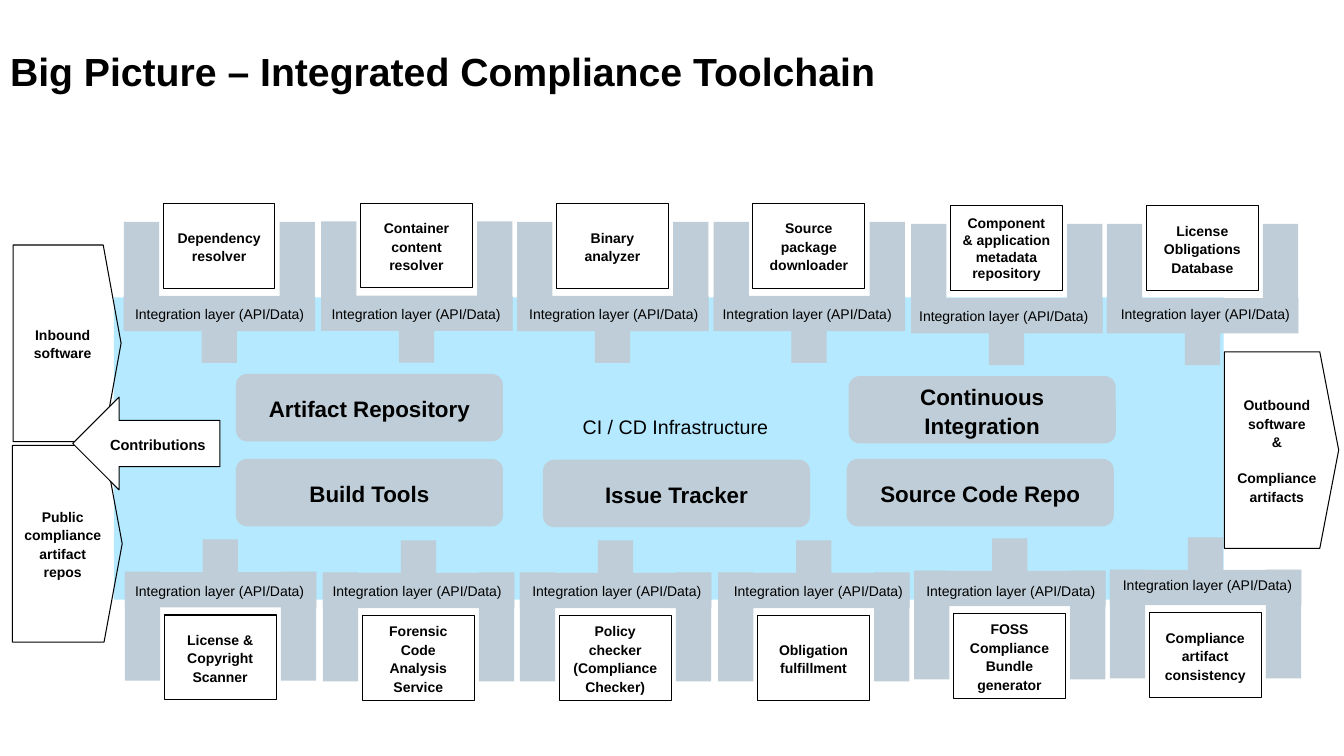
from lxml import etree
from pptx import Presentation
from pptx.dml.color import RGBColor
from pptx.enum.shapes import MSO_SHAPE as SHAPE
from pptx.enum.text import MSO_ANCHOR as ANCHOR, MSO_AUTO_SIZE as AUTO, PP_ALIGN as ALIGN
from pptx.oxml.ns import qn
from pptx.util import Pt

BLACK = RGBColor(0x00, 0x00, 0x00)
WHITE = RGBColor(0xFF, 0xFF, 0xFF)
SKY = RGBColor(0xB4, 0xE9, 0xFF)
STEEL = RGBColor(0xBE, 0xCD, 0xD7)

# Tools: text, left, top of the bracket, left and top of the layer label
TOP_TOOLS = [
    ("Dependency resolver", 88.4, 158.5, 96.5, 217.4),
    ("Container content resolver", 229.4, 158.2, 236.9, 217.4),
    ("Binary analyzer", 369.4, 158.5, 378, 217.4),
    ("Source package downloader", 509.7, 158.5, 516.2, 217.4),
    ("Component & application metadata repository", 650.8, 160, 656.6, 218.2),
    ("License Obligations Database", 790.7, 160, 800.6, 217.4),
]
BOTTOM_TOOLS = [
    ("License & Copyright Scanner", 89.2, 408.3, 96.5, 414.7),
    ("Forensic Code Analysis Service", 230.7, 408.9, 237.6, 414.7),
    ("Policy checker (Compliance Checker)", 371.4, 408.9, 380.2, 414.7),
    ("Obligation fulfillment", 513, 408.9, 524.2, 414.7),
    ("FOSS Compliance Bundle generator", 653, 407.5, 661.7, 414.7),
    ("Compliance artifact consistency", 792.8, 406.8, 802.1, 410.4),
]
# Offsets from the bracket top: bar, stub, tool box
TOP_OFFSETS = (52.9, 75.6, -13)
BOTTOM_OFFSETS = (0.3, -23, 31)

SERVICES = [
    ("Artifact Repository", 168.5, 267.1),
    ("Build Tools", 168.5, 327.8),
    ("Issue Tracker", 387.8, 328.4),
    ("Continuous Integration", 606.2, 268.6),
    ("Source Code Repo", 604.8, 327.8),
]


class Board:
    font = "Arial"
    line_width = 0.75
    line_spacing = 1.1

    def __init__(self, s):
        self.s = s

    def place(self, sp, x, y, w, h):
        sp.left, sp.top, sp.width, sp.height = Pt(x), Pt(y), Pt(w), Pt(h)

    def run(self, p, text, size, bold=False):
        r = p.add_run()
        r.text = text
        r.font.name = self.font
        r.font.size = Pt(size)
        r.font.bold = bold
        r.font.color.rgb = BLACK

    def shape(self, kind, x, y, w, h, fill=None, outline=False, parent=None):
        shapes = (parent or self.s).shapes
        sp = shapes.add_shape(kind, Pt(x), Pt(y), Pt(w), Pt(h))
        sp.shadow.inherit = False
        if fill is None:
            sp.fill.background()
        else:
            sp.fill.solid()
            sp.fill.fore_color.rgb = fill
        if outline:
            sp.line.color.rgb = BLACK
            sp.line.width = Pt(self.line_width)
        else:
            sp.line.fill.background()
        return sp

    def caption(self, sp, *lines, size=10, spacing=line_spacing):
        tf = sp.text_frame
        tf.word_wrap = True
        tf.vertical_anchor = ANCHOR.MIDDLE
        tf.margin_left = tf.margin_right = Pt(8.6)
        tf.margin_top = tf.margin_bottom = Pt(4.3)
        for i, text in enumerate(lines):
            p = tf.add_paragraph() if i else tf.paragraphs[0]
            p.alignment = ALIGN.CENTER
            p.line_spacing = spacing
            self.run(p, text, size, bold=True)

    def label(self, text, x, y):
        tf = self.s.shapes.add_textbox(Pt(x), Pt(y), Pt(125.3), Pt(18.7)).text_frame
        tf.word_wrap = False
        tf.margin_left = tf.margin_right = tf.margin_top = tf.margin_bottom = 0
        p = tf.paragraphs[0]
        p.line_spacing = self.line_spacing
        self.run(p, text, 10)

    def placeholder(self, sp, text, size, box, bold=False, anchor=ANCHOR.TOP):
        self.place(sp, *box)
        tf = sp.text_frame
        tf.word_wrap = True
        tf.auto_size = AUTO.NONE
        tf.vertical_anchor = anchor
        p = tf.paragraphs[0]
        p.alignment = ALIGN.LEFT
        self.run(p, text, size, bold)
        return p

    def tool(self, text, x, y, offsets):
        bar, stub, box = offsets
        unit = self.s.shapes.add_group_shape()
        for dx, dy, w, h in [(0, 0, 25.2, 77.8), (111.4, 0, 25.2, 77.8),
                             (0, bar, 136.8, 25.2), (55.6, stub, 25.2, 25.2)]:
            self.shape(SHAPE.RECTANGLE, x + dx, y + dy, w, h, STEEL, parent=unit)
        sp = self.shape(SHAPE.RECTANGLE, x + 28.1, y + box, 79.9, 60.5, outline=True, parent=unit)
        self.caption(sp, text, spacing=1.0 if text.startswith("Component") else self.line_spacing)

    def pentagon(self, x, y, w, *lines):
        sp = self.shape(SHAPE.PENTAGON, x, y, w, 140.4, outline=True)
        sp.adjustments[0] = 0.165
        self.caption(sp, *lines)
        return sp


def main():
    prs = Presentation()
    prs.slide_width, prs.slide_height = Pt(960), Pt(540)
    s = prs.slides.add_slide(prs.slide_layouts[1])
    board = Board(s)

    # Title, infrastructure area and its name
    title, body = s.shapes.title, s.placeholders[1]
    area = board.shape(SHAPE.RECTANGLE, 81.4, 212.4, 792.7, 216, SKY)
    title.element.addprevious(area.element)
    board.placeholder(title, "Big Picture – Integrated Compliance Toolchain", 28,
                      (0, 0.7, 960, 100), bold=True, anchor=ANCHOR.MIDDLE)
    p = board.placeholder(body, "CI / CD Infrastructure", 14, (409, 293, 207.4, 24.5))
    p.space_before = Pt(6)
    pPr = p.runs[0]._r.getparent().get_or_add_pPr()
    pPr.set("marL", "0")
    pPr.set("indent", "0")
    etree.SubElement(pPr, qn("a:buNone"))

    # Tools above and below
    for tools, offsets in ((TOP_TOOLS, TOP_OFFSETS), (BOTTOM_TOOLS, BOTTOM_OFFSETS)):
        for text, x, y, label_x, label_y in tools:
            board.tool(text, x, y, offsets)
            board.label("Integration layer (API/Data)", label_x, label_y)

    # Services inside the infrastructure
    for text, x, y in SERVICES:
        sp = board.shape(SHAPE.ROUNDED_RECTANGLE, x, y, 190.8, 48.2, STEEL)
        board.caption(sp, text, size=16)

    # Inputs and outputs
    outbound = board.pentagon(874.6, 251.3, 81.6, "Outbound software", "&", "Compliance artifacts")
    outbound.text_frame.paragraphs[2].space_before = Pt(12.7)
    board.pentagon(9.3, 175, 77.2, "Inbound software")
    board.pentagon(8.8, 318.2, 78.5, "Public compliance artifact repos")
    arrow = board.shape(SHAPE.LEFT_ARROW, 52, 283.7, 105.1, 66.2, WHITE, outline=True)
    board.caption(arrow, "Contributions", size=10.5)

    prs.save("out.pptx")


if __name__ == "__main__":
    main()
